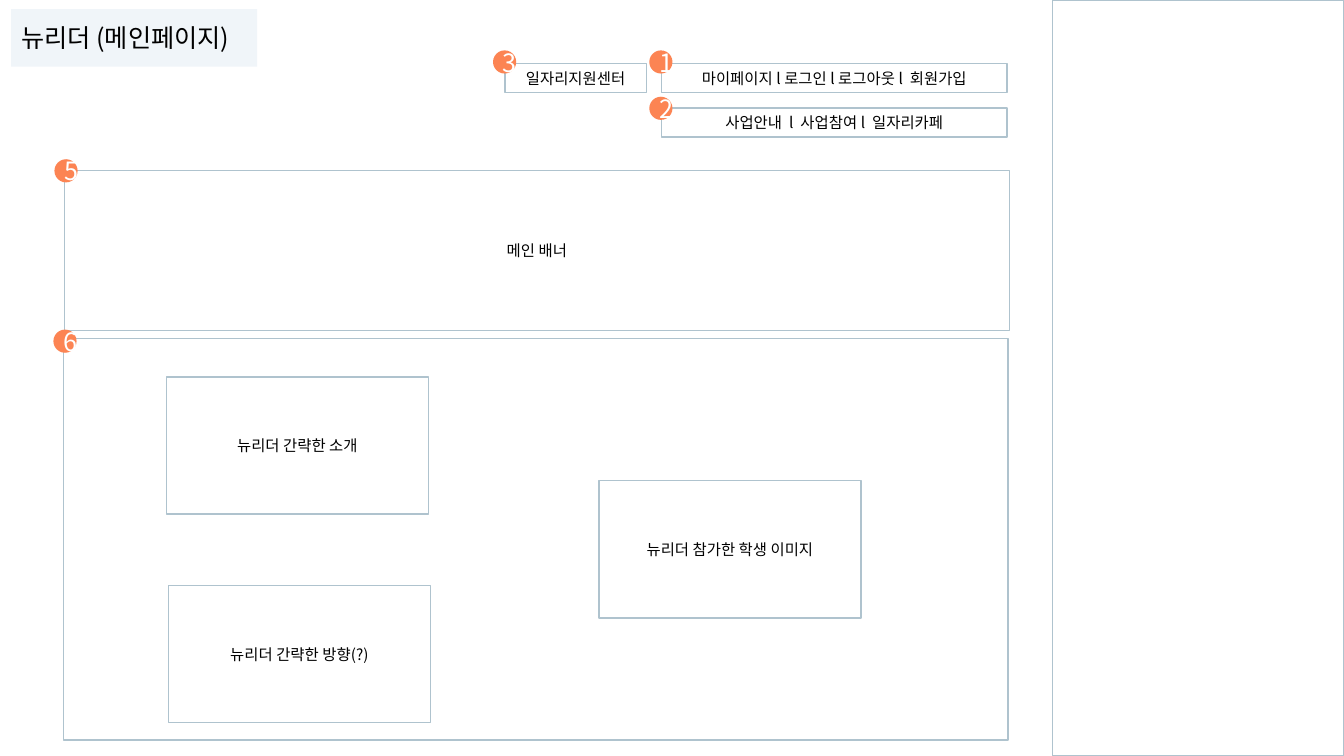
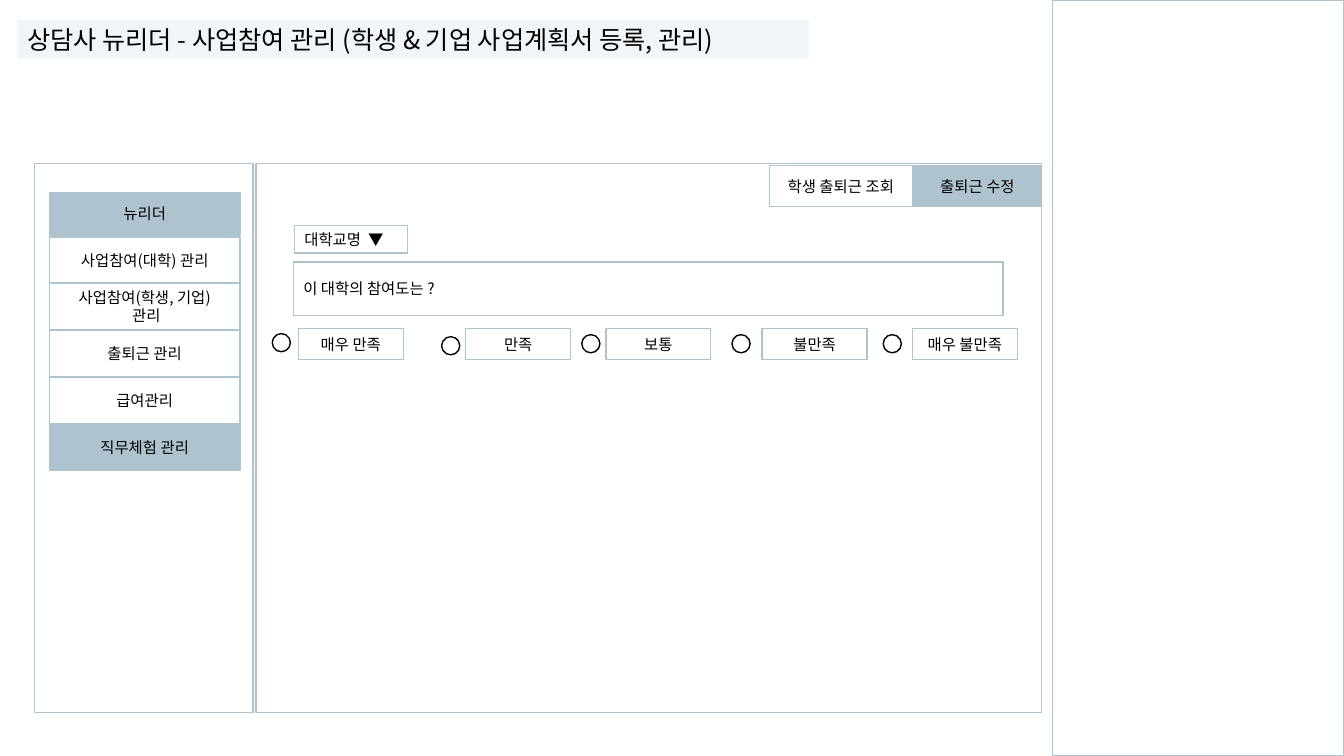
from dataclasses import dataclass

from pptx import Presentation
from pptx.dml.color import RGBColor
from pptx.enum.shapes import MSO_SHAPE
from pptx.enum.text import MSO_ANCHOR, MSO_AUTO_SIZE, PP_ALIGN
from pptx.oxml.ns import qn
from pptx.util import Pt

RECT, OVAL = MSO_SHAPE.RECTANGLE, MSO_SHAPE.OVAL
LEFT, CENTER = PP_ALIGN.LEFT, PP_ALIGN.CENTER
MIDDLE, NO_FIT = MSO_ANCHOR.MIDDLE, MSO_AUTO_SIZE.NONE
TITLE_ONLY = 5
EMU_PER_PX = 9144


@dataclass(frozen=True)
class Theme:
    font: str = "Noto Sans CJK KR"
    ink: str = "000000"
    white: str = "FFFFFF"
    edge: str = "AFC3CE"
    band: str = "F0F5F9"
    badge: str = "FC8453"
    title_size: int = 18
    body_size: int = 11
    line_width: int = 1


T = Theme()
SLIDE_W, SLIDE_H = 1333, 750
NOTES_PANEL = (1044, 0, 289, 750)
BADGE_SIZE, RADIO_SIZE = 23, 18

MAIN_TITLE = ("뉴리더 (메인페이지)", (11, 9, 244, 57))
MAIN_FRAME = (63, 336, 937, 398)
MAIN_BOXES = [
    ("마이페이지 l 로그인 l 로그아웃 l  회원가입", (656, 63, 343, 29)),
    ("사업안내  l  사업참여 l  일자리카페", (656, 107, 343, 29)),
    ("일자리지원센터", (501, 63, 140, 29)),
    ("메인 배너", (64, 169, 937, 159)),
]
CARD_W, CARD_H = 260, 136
CARDS = [
    ("뉴리더 간략한 소개", 165, 374),
    ("뉴리더 참가한 학생 이미지", 594, 477),
    ("뉴리더 간략한 방향(?)", 167, 581),
]
BADGES = [("1", 644, 50), ("2", 644, 96), ("3", 489, 50),
          ("5", 54, 158), ("6", 53, 327)]

SURVEY_TITLE = ("상담사 뉴리더 - 사업참여 관리 (학생 & 기업 사업계획서 등록, 관리)",
                (17, 20, 785, 38))
SURVEY_FRAMES = [(34, 162, 217, 545), (254, 162, 779, 545)]
MENU_X, MENU_Y, MENU_W, MENU_H = 49, 235, 189, 46
MENU_HEAD = ("뉴리더", (MENU_X, 191, MENU_W, 42))
MENU = [
    ("사업참여(대학) 관리", None),
    ("사업참여(학생, 기업)\n 관리", None),
    ("출퇴근 관리", None),
    ("급여관리", None),
    ("직무체험 관리", T.edge),
]
TABS = [("학생 출퇴근 조회", (763, 164, 142, 41), None),
        ("출퇴근 수정", (906, 164, 127, 41), T.edge)]
FIELDS = [("대학교명  ▼", (292, 224, 112, 27)),
          ("이 대학의 참여도는 ?", (291, 260, 704, 53))]
OPTION_Y, OPTION_W, OPTION_H = 326, 104, 31
OPTIONS = [
    ("매우 만족", 296, (270, 331)),
    ("만족", 462, (438, 334)),
    ("보통", 601, (577, 332)),
    ("불만족", 756, (726, 332)),
    ("매우 불만족", 905, (876, 332)),
]


def px(n):
    return n * EMU_PER_PX


def rgb(color):
    return RGBColor.from_string(color)


def write(sp, text, size, color, align):
    tf = sp.text_frame
    tf.word_wrap = True
    tf.auto_size = NO_FIT
    tf.vertical_anchor = MIDDLE
    for i, line in enumerate(text.split("\n")):
        p = tf.add_paragraph() if i else tf.paragraphs[0]
        p.alignment = align
        r = p.add_run()
        r.text = line
        r.font.name = T.font
        r.font.size = Pt(size)
        r.font.color.rgb = rgb(color)
        ea = r.font._element.makeelement(qn("a:ea"), {"typeface": T.font})
        r.font._element.find(qn("a:latin")).addnext(ea)


def add_shape(s, box, text="", kind=RECT, fill=None, line=T.edge,
              size=T.body_size, color=T.ink, align=CENTER):
    sp = s.shapes.add_shape(kind, *map(px, box))
    sp.shadow.inherit = False
    if fill:
        sp.fill.solid()
        sp.fill.fore_color.rgb = rgb(fill)
    else:
        sp.fill.background()
    if line:
        sp.line.color.rgb = rgb(line)
        sp.line.width = Pt(T.line_width)
    else:
        sp.line.fill.background()
    if text:
        write(sp, text, size, color, align)


def add_page(prs, title, box):
    s = prs.slides.add_slide(prs.slide_layouts[TITLE_ONLY])
    sp = s.shapes.title
    sp.left, sp.top, sp.width, sp.height = map(px, box)
    sp.fill.solid()
    sp.fill.fore_color.rgb = rgb(T.band)
    write(sp, title, T.title_size, T.ink, LEFT)
    add_shape(s, NOTES_PANEL)
    return s


def build_main(prs):
    s = add_page(prs, *MAIN_TITLE)
    add_shape(s, MAIN_FRAME)
    for text, box in MAIN_BOXES:
        add_shape(s, box, text)
    for text, x, y in CARDS:
        add_shape(s, (x, y, CARD_W, CARD_H), text)
    for number, x, y in BADGES:
        add_shape(s, (x, y, BADGE_SIZE, BADGE_SIZE), number, OVAL, T.badge,
                  None, T.title_size, T.white)


def build_survey(prs):
    s = add_page(prs, *SURVEY_TITLE)
    for box in SURVEY_FRAMES:
        add_shape(s, box)
    text, box = MENU_HEAD
    add_shape(s, box, text, fill=T.edge)
    for i, (text, fill) in enumerate(MENU):
        y = MENU_Y + i * (2 * MENU_H + 1) // 2
        add_shape(s, (MENU_X, y, MENU_W, MENU_H), text, fill=fill)
    for text, box, fill in TABS:
        add_shape(s, box, text, fill=fill)
    for text, box in FIELDS:
        add_shape(s, box, text, align=LEFT)
    for text, x, radio in OPTIONS:
        add_shape(s, (*radio, RADIO_SIZE, RADIO_SIZE), kind=OVAL, line=T.ink)
        add_shape(s, (x, OPTION_Y, OPTION_W, OPTION_H), text)


def main():
    prs = Presentation()
    prs.slide_width, prs.slide_height = px(SLIDE_W), px(SLIDE_H)
    build_main(prs)
    build_survey(prs)
    prs.save("out.pptx")


if __name__ == "__main__":
    main()
